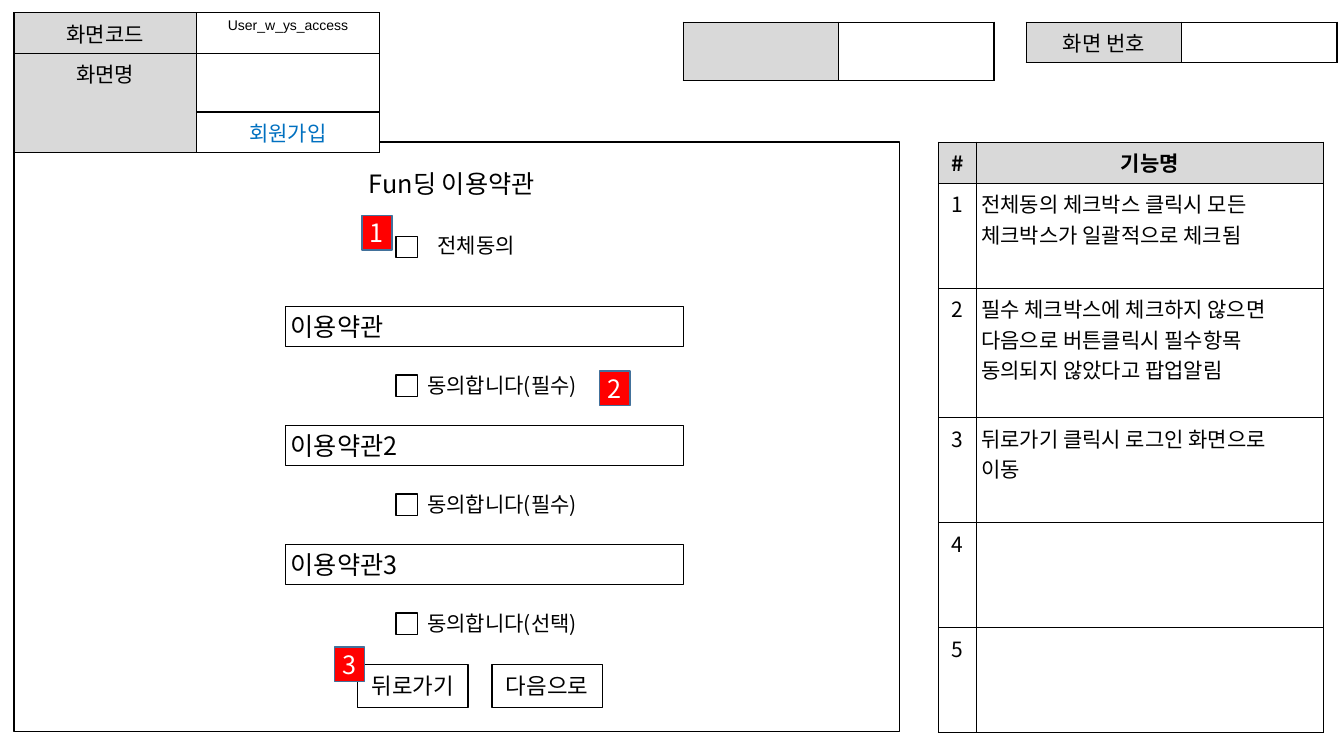
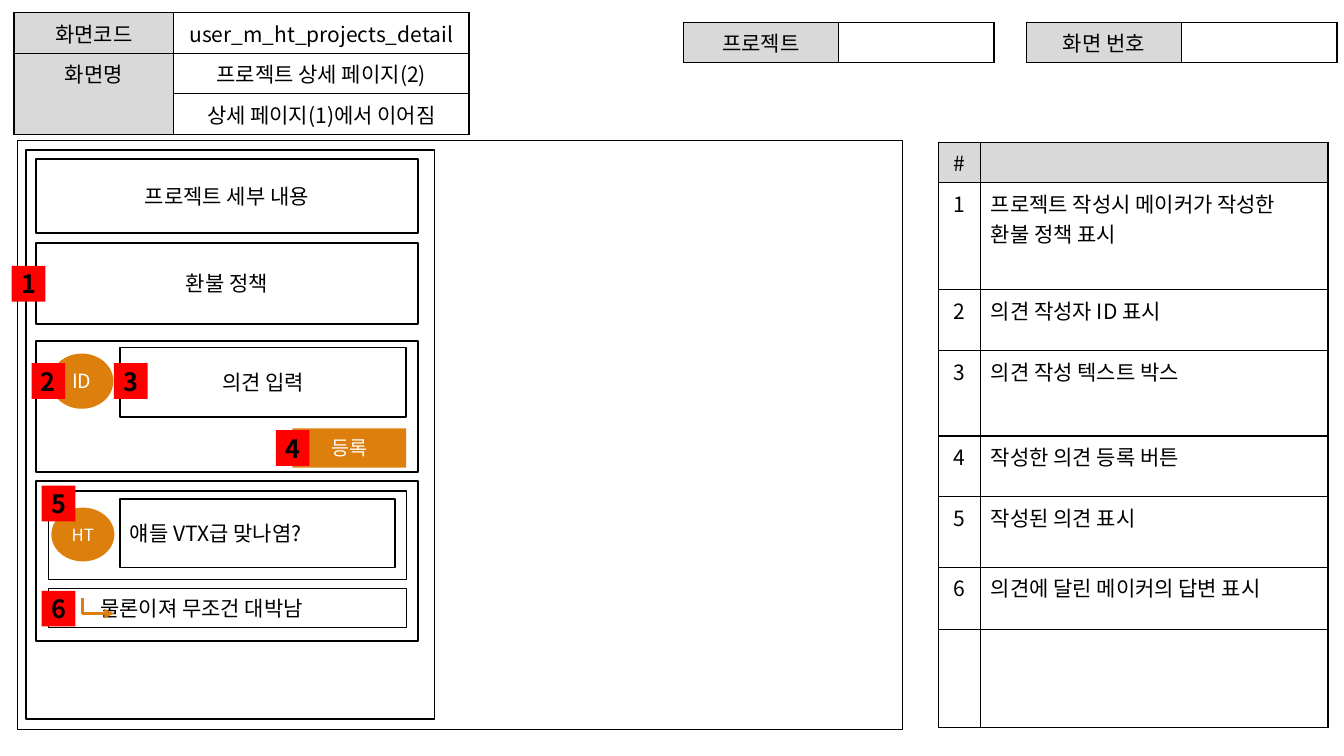
from dataclasses import dataclass

from lxml import etree
from pptx import Presentation
from pptx import util as u
from pptx.dml.color import RGBColor
from pptx.enum import shapes, text
from pptx.oxml import ns

RECT = shapes.MSO_SHAPE.RECTANGLE
OVAL = shapes.MSO_SHAPE.OVAL
LEFT = text.PP_ALIGN.LEFT
CENTER = text.PP_ALIGN.CENTER
TOP = text.MSO_ANCHOR.TOP
MIDDLE = text.MSO_ANCHOR.MIDDLE


@dataclass(frozen=True)
class Theme:
    font: str = "Noto Sans CJK KR"
    code_font: str = "Arial"
    ink: str = "000000"
    paper: str = "FFFFFF"
    shade: str = "D9D9D9"
    link: str = "0070C0"
    alert: str = "FF0000"
    alert_edge: str = "42719B"
    accent: str = "DC7F0D"
    tiny: float = 10
    small: float = 12
    badge: float = 14
    body: float = 15
    button: float = 16
    large: float = 18
    border: float = 0.96


class Wireframe:
    """Draw the parts of a screen specification on the current slide."""

    def __init__(self, deck, theme):
        self.deck = deck
        self.theme = theme
        self.page = None

    def new_page(self):
        self.page = self.deck.slides.add_slide(self.deck.slide_layouts[6])

    def rect(self, *lengths):
        return [u.Pt(length) for length in lengths]

    def set_text(self, frame, words, size=None, color=None, align=CENTER, bold=False, font=None):
        frame.text = words
        name = font or self.theme.font
        for para in frame.paragraphs:
            para.alignment = align
            para.font.size = u.Pt(size or self.theme.body)
            para.font.bold = bold
            para.font.color.rgb = RGBColor.from_string(color or self.theme.ink)
            para.font.name = name
            props = para._p.find(".//" + ns.qn("a:defRPr"))
            for old in props.findall(ns.qn("a:ea")):
                props.remove(old)
            etree.SubElement(props, ns.qn("a:ea"), typeface=name)

    def fit(self, frame, inset, anchor):
        frame.word_wrap = True
        frame.vertical_anchor = anchor
        frame.margin_left = frame.margin_right = u.Pt(inset)
        frame.margin_top = frame.margin_bottom = u.Pt(0 if anchor == MIDDLE else 3.6)

    def box(self, left, top, width, height, words="", kind=RECT, fill=None,
            line=None, weight=1, inset=3.6, **style):
        shape = self.page.shapes.add_shape(kind, *self.rect(left, top, width, height))
        shape.shadow.inherit = False
        if fill:
            shape.fill.solid()
            shape.fill.fore_color.rgb = RGBColor.from_string(fill)
        else:
            shape.fill.background()
        if line:
            shape.line.color.rgb = RGBColor.from_string(line)
            shape.line.width = u.Pt(weight)
        else:
            shape.line.fill.background()
        self.fit(shape.text_frame, inset, MIDDLE)
        if words:
            self.set_text(shape.text_frame, words, **style)

    def outline(self, left, top, width, height, words="", **style):
        self.box(left, top, width, height, words, line=self.theme.ink, **style)

    def solid(self, left, top, width, height, words, **style):
        self.box(left, top, width, height, words, fill=self.theme.accent,
                 color=self.theme.paper, **style)

    def label(self, left, top, width, height, words, **style):
        frame = self.page.shapes.add_textbox(*self.rect(left, top, width, height)).text_frame
        self.fit(frame, 3.6, TOP)
        self.set_text(frame, words, align=LEFT, **style)

    def checkbox(self, top):
        self.outline(283, top, 15.2, 15.2, fill=self.theme.paper)

    def marker(self, left, top, number, width=24, height=25.5, **style):
        self.box(left, top, width, height, str(number), fill=self.theme.alert,
                 size=self.theme.large, inset=0, **style)

    def border(self, cell):
        props = cell._tc.get_or_add_tcPr()
        for index, side in enumerate(("lnL", "lnR", "lnT", "lnB")):
            edge = etree.Element(ns.qn("a:" + side), w=str(u.Pt(self.theme.border)))
            fill = etree.SubElement(edge, ns.qn("a:solidFill"))
            etree.SubElement(fill, ns.qn("a:srgbClr"), val=self.theme.ink)
            props.insert(index, edge)

    def table(self, left, top, widths, heights, rows, labels=False, inset=7.2, bold=False):
        grid = self.page.shapes.add_table(
            len(rows), len(widths), *self.rect(left, top, sum(widths), sum(heights))).table
        grid.first_row = grid.horz_banding = False
        for column, width in zip(grid.columns, widths):
            column.width = u.Pt(width)
        for r, (height, row) in enumerate(zip(heights, rows)):
            grid.rows[r].height = u.Pt(height)
            for c, words in enumerate(row):
                cell = grid.cell(r, c)
                shaded = c == 0 if labels else r == 0
                cell.fill.solid()
                cell.fill.fore_color.rgb = RGBColor.from_string(
                    self.theme.shade if shaded else self.theme.paper)
                cell.margin_left = cell.margin_right = u.Pt(inset)
                cell.margin_top = cell.margin_bottom = u.Pt(3.6)
                self.border(cell)
                align = CENTER if labels or r == 0 or c == 0 else LEFT
                self.set_text(cell.text_frame, words, align=align, bold=bold and r == 0)
        return grid

    def screen_table(self, widths, heights, rows, inset=7.2):
        grid = self.table(10, 9, widths, heights, rows, labels=True, inset=inset)
        grid.cell(1, 0).merge(grid.cell(2, 0))
        return grid

    def project_tables(self, project, height=29):
        self.table(733, 15.8, [111, 111], [29], [["화면 번호", ""]], labels=True)
        self.table(488, 15.8, [111, 111], [height], [[project, ""]], labels=True)

    def feature_table(self, widths, heights, heading, features, **style):
        rows = [["#", heading], *features]
        self.table(670.3, 101.5, widths, heights, rows, **style)

    def elbow_arrow(self, left, top, right, bottom):
        arrow = self.page.shapes.add_connector(
            shapes.MSO_CONNECTOR.ELBOW, *self.rect(left, top, right, bottom))
        arrow.line.color.rgb = RGBColor.from_string(self.theme.accent)
        arrow.line.width = u.Pt(2.25)
        props = arrow._element.spPr
        guides = props.find(".//" + ns.qn("a:avLst"))
        etree.SubElement(guides, ns.qn("a:gd"), name="adj1", fmla="val 0")
        etree.SubElement(props.find(ns.qn("a:ln")), ns.qn("a:tailEnd"), type="triangle")
        etree.SubElement(props, ns.qn("a:effectLst"))


def build_terms(wire):
    theme = wire.theme
    wire.new_page()
    wire.project_tables("", height=42)
    wire.feature_table(
        [27, 248], [29.5, 75, 92.5, 75, 75, 75], "기능명",
        [["1", "전체동의 체크박스 클릭시 모든\n체크박스가 일괄적으로 체크됨"],
         ["2", "필수 체크박스에 체크하지 않으면\n다음으로 버튼클릭시 필수항목\n동의되지 않았다고 팝업알림"],
         ["3", "뒤로가기 클릭시 로그인 화면으로\n이동"],
         ["4", ""],
         ["5", ""]],
        inset=3.6, bold=True)
    wire.outline(10, 101.5, 632.5, 421, fill=theme.paper)
    wire.label(260, 116.8, 136, 29, "Fun딩 이용약관", size=theme.large)
    wire.label(309, 162.5, 103, 25, "전체동의")
    wire.checkbox(169)
    terms = [("이용약관", "필수"), ("이용약관2", "필수"), ("이용약관3", "선택")]
    for index, (name, need) in enumerate(terms):
        top = 219 + 85 * index
        wire.outline(204, top, 284.5, 28.8, name, weight=0.75,
                     size=theme.large, align=LEFT)
        wire.label(301.7, top + 43.8, 152.5, 25, f"동의합니다({need})")
        wire.checkbox(top + 49)
    for left, words in ((255.6, "뒤로가기"), (351.4, "다음으로")):
        wire.outline(left, 474.5, 78.8, 31, words, fill=theme.paper, size=theme.button)
    screen = wire.screen_table(
        [130.5, 130.5], [29, 42, 29],
        [["화면코드", "User_w_ys_access"], ["화면명", ""], ["", "회원가입"]], inset=3.6)
    wire.set_text(screen.cell(0, 1).text_frame, "User_w_ys_access",
                  size=theme.tiny, font=theme.code_font)
    wire.set_text(screen.cell(2, 1).text_frame, "회원가입", color=theme.link)
    for number, (left, top) in enumerate([(258.5, 154), (428.4, 265), (239, 462.2)], 1):
        wire.marker(left, top, number, width=21.6, height=24.5,
                    line=theme.alert_edge, color=theme.paper)


def build_detail(wire):
    theme = wire.theme
    wire.new_page()
    wire.screen_table(
        [114, 211], [29, 29, 29],
        [["화면코드", "user_m_ht_projects_detail"],
         ["화면명", "프로젝트 상세 페이지(2)"],
         ["", "상세 페이지(1)에서 이어짐"]])
    wire.project_tables("프로젝트")
    wire.feature_table(
        [30.3, 248], [29, 76.5, 43.5, 61, 43.5, 50.5, 44, 70], "",
        [["1", "프로젝트 작성시 메이커가 작성한 환불 정책 표시"],
         ["2", "의견 작성자 ID 표시"],
         ["3", "의견 작성 텍스트 박스"],
         ["4", "작성한 의견 등록 버튼"],
         ["5", "작성된 의견 표시"],
         ["6", "의견에 달린 메이커의 답변 표시"],
         ["", ""]])
    wire.outline(12.3, 100.2, 632.2, 421)
    wire.outline(18.6, 107.2, 291.6, 406.5)
    for top, height, words in ((113.8, 52.6, "프로젝트 세부 내용"), (173.5, 58, "환불 정책"),
                               (243.5, 93.6, ""), (343.5, 114.2, "")):
        wire.outline(25.6, top, 273, height, words, weight=1.5)
    wire.solid(36, 252.6, 45, 39.4, "ID", kind=OVAL, size=theme.badge)
    wire.outline(85.7, 248.4, 204.5, 49.5, "의견 입력")
    wire.solid(208.8, 306, 81.4, 28, "등록", size=theme.badge)
    wire.outline(34.6, 350.6, 255.6, 63.4)
    wire.outline(34.6, 420.4, 255.6, 28, "물론이져 무조건 대박남", inset=37, align=LEFT)
    wire.solid(36.7, 362.6, 45, 38.4, "HT", kind=OVAL, size=theme.small)
    wire.outline(85.7, 356.4, 196.6, 49, "얘들 VTX급 맞나염?", inset=7.2, align=LEFT)
    wire.elbow_arrow(59, 427, 81.4, 438.2)
    places = [(8.4, 190), (22.6, 259.4), (81.4, 259.4),
              (197, 307.3), (29.8, 347), (29.8, 422)]
    for number, (left, top) in enumerate(places, 1):
        wire.marker(left, top, number, bold=True)


def main():
    deck = Presentation()
    deck.slide_width = u.Pt(960)
    deck.slide_height = u.Pt(540)
    wire = Wireframe(deck, Theme())
    build_terms(wire)
    build_detail(wire)
    deck.save("out.pptx")


if __name__ == "__main__":
    main()
